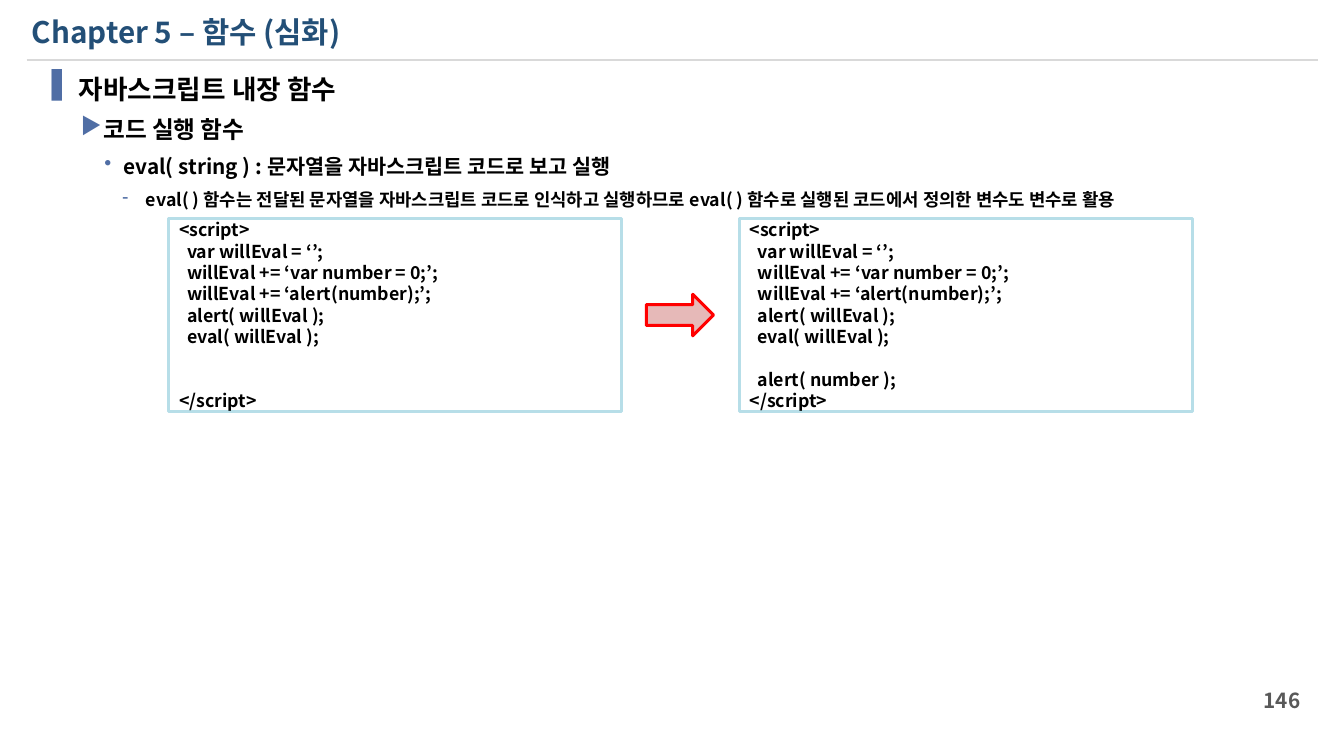
from dataclasses import dataclass

from lxml import etree
from pptx import Presentation
from pptx import util as u
from pptx.dml.color import RGBColor
from pptx.enum import shapes, text
from pptx.oxml import ns

FONT = "Noto Sans CJK KR"
LINE_HEIGHT = 1.2
BLACK = RGBColor(0x00, 0x00, 0x00)
NAVY = RGBColor(0x23, 0x4F, 0x77)
BULLET_BLUE = RGBColor(0x50, 0x6E, 0xA5)
RULE_GRAY = RGBColor(0xD9, 0xD9, 0xD9)
NUMBER_GRAY = RGBColor(0x59, 0x59, 0x59)
CODE_BORDER = RGBColor(0xB7, 0xDE, 0xE8)
ARROW_PINK = RGBColor(0xE6, 0xB9, 0xB8)
ARROW_RED = RGBColor(0xFF, 0x00, 0x00)


@dataclass
class Line:
    """One paragraph; margin and hang are inches, size and before are points."""
    words: str
    size: float = 12
    color: RGBColor = BLACK
    before: float = 0
    bullet: str = ""
    margin: float = 0
    hang: float = 0


@dataclass
class Area:
    left: float
    top: float
    width: float
    height: float

    def lengths(self) -> list[u.Length]:
        return [u.Inches(v) for v in (self.left, self.top, self.width, self.height)]


@dataclass
class TextBlock:
    area: Area
    lines: list[Line]
    anchor: text.MSO_ANCHOR = text.MSO_ANCHOR.TOP
    align: text.PP_ALIGN = text.PP_ALIGN.LEFT


CODE_SIZE = 12
CODE_STEP = CODE_SIZE * LINE_HEIGHT
CODE_START = [
    Line("<script>"),
    Line("  var willEval = ‘’;"),
    Line("  willEval += ‘var number = 0;’;"),
    Line("  willEval += ‘alert(number);’;"),
    Line("  alert( willEval );"),
    Line("  eval( willEval );"),
]
CODE_BOXES = {
    1.58: CODE_START + [Line("</script>", before=2 * CODE_STEP)],
    6.93: CODE_START + [Line("  alert( number );", before=CODE_STEP), Line("</script>")],
}

TEXT_BLOCKS = [
    TextBlock(Area(0.2, 0.08, 11.86, 0.44), [Line("Chapter 5 – 함수 (심화)", 20, NAVY)]),
    TextBlock(Area(0.29, 0.63, 12.01, 1.91), [
        Line("자바스크립트 내장 함수", 18, bullet="▐", margin=0.35, hang=0.35),
        Line("코드 실행 함수", 16, before=7, bullet="▶", margin=0.58, hang=0.21),
        Line("eval( string ) : 문자열을 자바스크립트 코드로 보고 실행", 14,
             before=7, bullet="•", margin=0.77, hang=0.18),
        Line("eval( ) 함수는 전달된 문자열을 자바스크립트 코드로 인식하고 실행하므로 "
             "eval( ) 함수로 실행된 코드에서 정의한 변수도 변수로 활용", 12,
             before=7, bullet="-", margin=0.98, hang=0.22),
    ]),
    TextBlock(Area(11.35, 6.38, 0.94, 0.38), [Line("146", 14, NUMBER_GRAY)],
              text.MSO_ANCHOR.MIDDLE, text.PP_ALIGN.RIGHT),
]


def add_bullet(para, line: Line) -> None:
    props = para._p.get_or_add_pPr()
    props.set("marL", str(u.Inches(line.margin)))
    props.set("indent", str(-u.Inches(line.hang)))
    color = etree.SubElement(props, ns.qn("a:buClr"))
    etree.SubElement(color, ns.qn("a:srgbClr"), val=str(BULLET_BLUE))
    etree.SubElement(props, ns.qn("a:buChar"), char=line.bullet)


def write_lines(frame, lines: list[Line], anchor: text.MSO_ANCHOR,
                align: text.PP_ALIGN) -> None:
    frame.word_wrap = True
    frame.vertical_anchor = anchor
    for index, line in enumerate(lines):
        para = frame.add_paragraph() if index else frame.paragraphs[0]
        if line.bullet:
            add_bullet(para, line)
        para_format = {"alignment": align, "line_spacing": u.Pt(line.size * LINE_HEIGHT)}
        if line.before:
            para_format["space_before"] = u.Pt(line.before)
        for name, value in para_format.items():
            setattr(para, name, value)
        span = para.add_run()
        span.text = line.words
        for name, value in {"name": FONT, "size": u.Pt(line.size), "bold": True}.items():
            setattr(span.font, name, value)
        span.font.color.rgb = line.color
        etree.SubElement(span._r.get_or_add_rPr(), ns.qn("a:ea"), typeface=FONT)


def add_outlined_shape(page, kind: shapes.MSO_SHAPE, area: Area, border: RGBColor,
                       fill: RGBColor | None = None):
    shape = page.shapes.add_shape(kind, *area.lengths())
    shape.shadow.inherit = False
    if fill is None:
        shape.fill.background()
    else:
        shape.fill.solid()
        shape.fill.fore_color.rgb = fill
    shape.line.color.rgb = border
    shape.line.width = u.Pt(2)
    return shape


def add_title_rule(page) -> None:
    rule = page.shapes.add_connector(shapes.MSO_CONNECTOR.STRAIGHT, u.Inches(0.25),
                                     u.Inches(0.56), u.Inches(12.36), u.Inches(0.56))
    rule.line.color.rgb = RULE_GRAY
    rule.line.width = u.Pt(1.5)
    etree.SubElement(rule._element.spPr, ns.qn("a:effectLst"))


def main() -> None:
    deck = Presentation()
    deck.slide_width, deck.slide_height = u.Inches(12.6), u.Inches(7.09)
    page = deck.slides.add_slide(deck.slide_layouts[6])
    add_title_rule(page)
    for block in TEXT_BLOCKS:
        box = page.shapes.add_textbox(*block.area.lengths())
        write_lines(box.text_frame, block.lines, block.anchor, block.align)
    for left, code in CODE_BOXES.items():
        box = add_outlined_shape(page, shapes.MSO_SHAPE.RECTANGLE,
                                 Area(left, 2.05, 4.25, 1.81), CODE_BORDER)
        write_lines(box.text_frame, code, text.MSO_ANCHOR.MIDDLE, text.PP_ALIGN.LEFT)
    add_outlined_shape(page, shapes.MSO_SHAPE.RIGHT_ARROW,
                       Area(6.06, 2.76, 0.63, 0.39), ARROW_RED, ARROW_PINK)
    deck.save("out.pptx")


if __name__ == "__main__":
    main()
